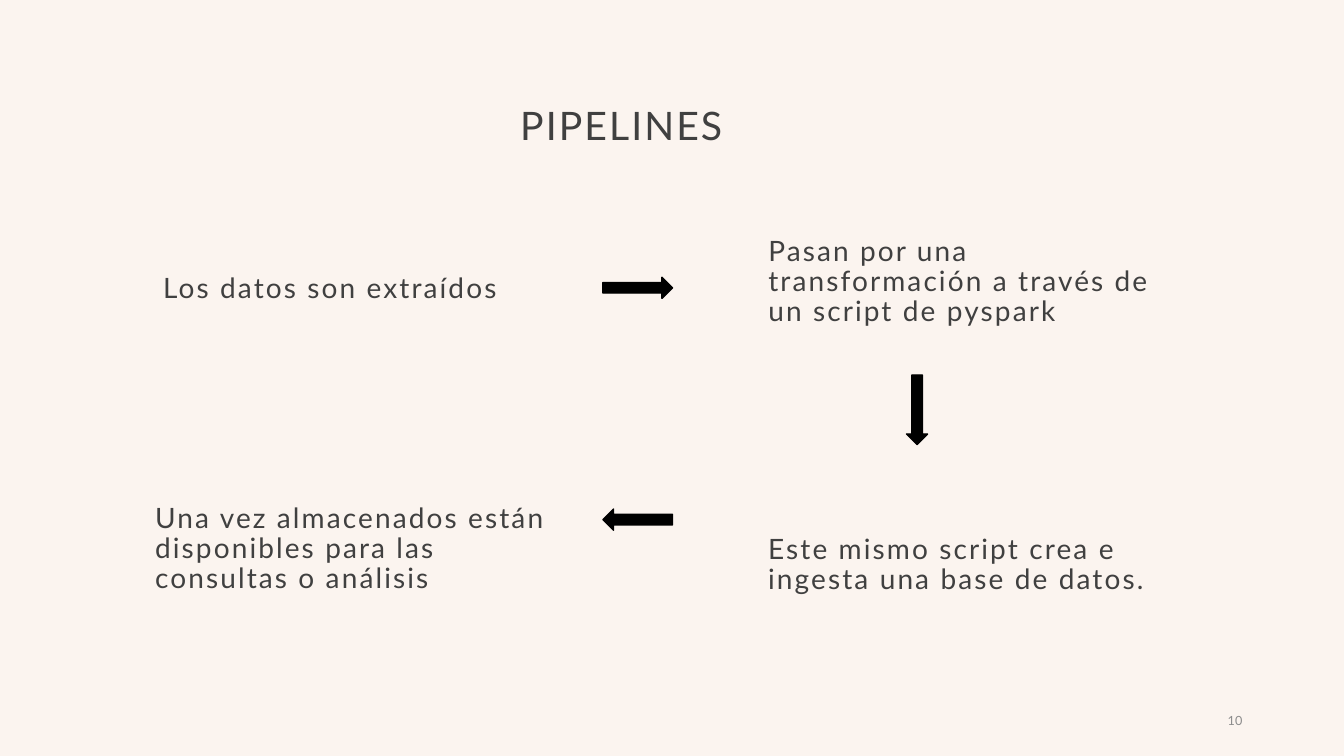
from lxml.etree import SubElement
from pptx import Presentation
from pptx.dml.color import RGBColor
from pptx.enum.shapes import MSO_SHAPE
from pptx.enum.text import MSO_ANCHOR, MSO_AUTO_SIZE, PP_ALIGN
from pptx.oxml.ns import qn
from pptx.util import Inches, Pt

COLORS = {"background": "FBF4EF", "text": "404040", "number": "8C8C8C", "arrow": "000000"}
FONT = "Lato"
STEP_SIZE = (4.29, 0.9)
ARROW_SIZE = (0.69, 0.21)

TITLE = ("PIPELINES", (5.06, 0.54, 9.21, 1.45))
FIRST_STEP, *OTHER_STEPS = [
    ("Pasan por una transformación a través de un script de pyspark", (7.52, 2.4)),
    ("Los datos son extraídos", (1.52, 2.17)),
    ("Este mismo script crea e ingesta una base de datos.", (7.52, 5.06)),
    ("Una vez almacenados están disponibles para las consultas o análisis", (1.44, 5.05)),
]
PAGE_NUMBER = ("10", (9.42, 6.95, 3, 0.4))
ARROWS = [(5.98, 2.75, 0), (8.75, 3.96, 90), (5.98, 5.05, 180)]

STEP_STYLE = {"size": 20, "color": "text", "anchor": MSO_ANCHOR.BOTTOM,
              "align": PP_ALIGN.LEFT, "line": 0.9, "before": 10, "tracking": 150}
TITLE_STYLE = {**STEP_STYLE, "size": 28, "anchor": MSO_ANCHOR.MIDDLE, "before": 0}
NUMBER_STYLE = {"size": 9, "color": "number", "anchor": MSO_ANCHOR.MIDDLE,
                "align": PP_ALIGN.RIGHT, "line": 1.0, "before": 0, "tracking": 0}


def set_attributes(target, values):
    for name, value in values.items():
        setattr(target, name, value)


def place(shape, box):
    set_attributes(shape, dict(zip(("left", "top", "width", "height"), map(Inches, box))))


def write(shape, text, box, style):
    place(shape, box)
    frame = shape.text_frame
    set_attributes(frame, {"word_wrap": True, "auto_size": MSO_AUTO_SIZE.NONE,
                           "vertical_anchor": style["anchor"]})
    paragraph = frame.paragraphs[0]
    set_attributes(paragraph, {"alignment": style["align"], "line_spacing": style["line"],
                               "space_before": Pt(style["before"])})
    properties = paragraph._p.get_or_add_pPr()
    properties.set("marL", "0")
    properties.set("indent", "0")
    SubElement(properties, qn("a:buNone"))
    run = paragraph.add_run()
    run.text = text
    set_attributes(run.font, {"name": FONT, "size": Pt(style["size"])})
    run.font.color.rgb = RGBColor.from_string(COLORS[style["color"]])
    run._r.get_or_add_rPr().set("spc", str(style["tracking"]))


def add_text(slide, text, box, style):
    write(slide.shapes.add_textbox(*map(Inches, box)), text, box, style)


def add_arrow(slide, left, top, rotation):
    box = map(Inches, (left, top, *ARROW_SIZE))
    arrow = slide.shapes.add_shape(MSO_SHAPE.RIGHT_ARROW, *box)
    arrow.rotation = rotation
    arrow.shadow.inherit = False
    color = RGBColor.from_string(COLORS["arrow"])
    arrow.fill.solid()
    arrow.fill.fore_color.rgb = color
    arrow.line.color.rgb = color
    arrow.line.width = Pt(1)


def main():
    presentation = Presentation()
    set_attributes(presentation, {"slide_width": Inches(13.33), "slide_height": Inches(7.5)})
    slide = presentation.slides.add_slide(presentation.slide_layouts[1])
    slide.background.fill.solid()
    slide.background.fill.fore_color.rgb = RGBColor.from_string(COLORS["background"])

    write(slide.shapes.title, *TITLE, TITLE_STYLE)
    text, position = FIRST_STEP
    write(slide.placeholders[1], text, position + STEP_SIZE, STEP_STYLE)
    for text, position in OTHER_STEPS:
        add_text(slide, text, position + STEP_SIZE, STEP_STYLE)
    for arrow in ARROWS:
        add_arrow(slide, *arrow)
    add_text(slide, *PAGE_NUMBER, NUMBER_STYLE)
    presentation.save("out.pptx")


if __name__ == "__main__":
    main()
